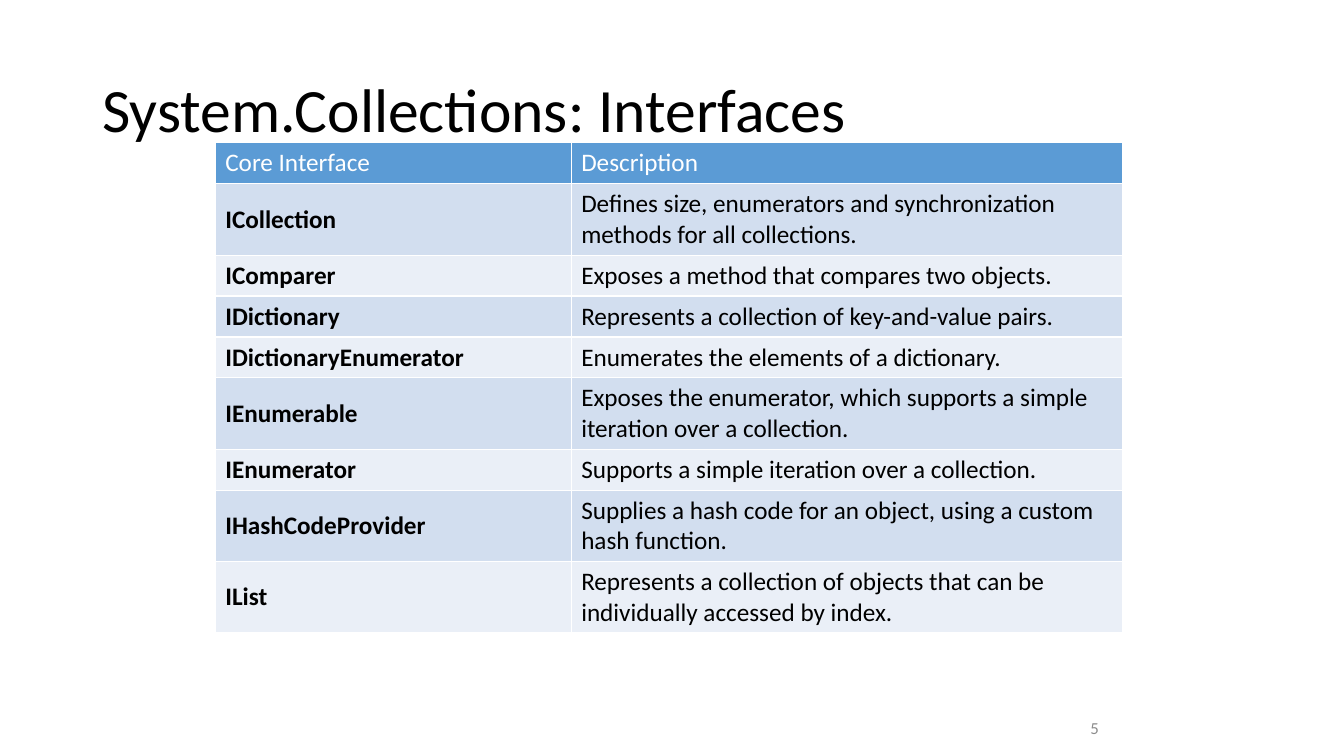
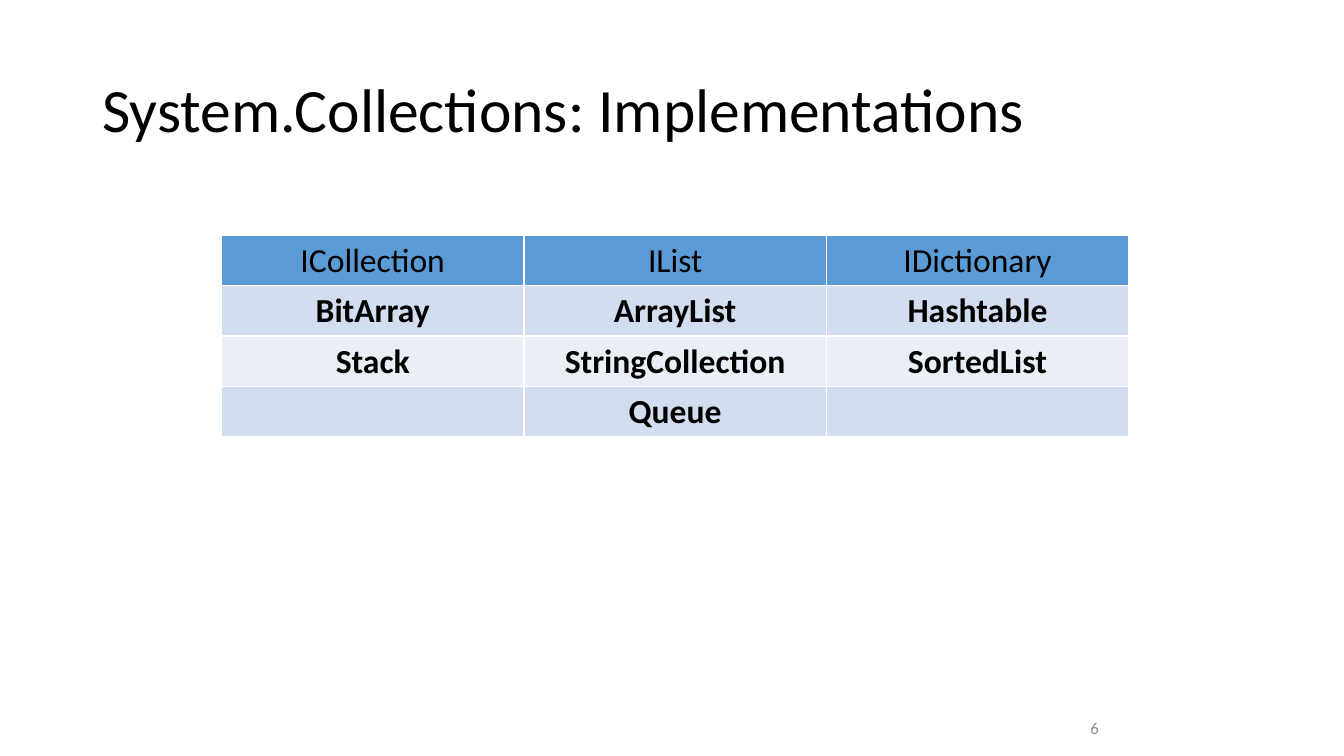
from dataclasses import dataclass

from lxml.etree import SubElement
from pptx import Presentation
from pptx.dml.color import RGBColor
from pptx.enum.text import MSO_ANCHOR, PP_ALIGN
from pptx.oxml.ns import qn
from pptx.presentation import Presentation as Deck
from pptx.slide import Slide
from pptx.table import _Cell as Cell
from pptx.text.text import TextFrame
from pptx.util import Emu, Pt

EMU_PER_PX = 9525  # 96 px to the inch


def px(length: int) -> Emu:
    return Emu(length * EMU_PER_PX)


@dataclass(frozen=True)
class Theme:
    font: str = "Calibri"
    ink: str = "000000"
    paper: str = "FFFFFF"
    header: str = "5B9BD5"
    bands: tuple[str, str] = ("D2DEEF", "EAEFF7")
    muted: str = "8C8C8C"
    title_size: int = 44
    large_size: int = 24
    body_size: int = 18
    number_size: int = 12
    rule_width: int = 1


THEME = Theme()


@dataclass(frozen=True)
class Box:
    left: int
    top: int
    width: int
    height: int


SLIDE_WIDTH, SLIDE_HEIGHT = 1280, 720
TITLE_BOX = Box(88, 38, 1104, 139)
NUMBER_BOX = Box(832, 674, 224, 38)


@dataclass(frozen=True)
class Grid:
    left: int
    top: int
    columns: tuple[int, ...]
    row_heights: tuple[int, ...]
    rows: tuple[tuple[str, ...], ...]
    bold_columns: tuple[int, ...]
    size: int
    header_color: str
    header_anchor: MSO_ANCHOR = MSO_ANCHOR.MIDDLE
    align: PP_ALIGN = PP_ALIGN.LEFT


@dataclass(frozen=True)
class Page:
    title: str
    number: int
    grid: Grid


ONE_LINE, TWO_LINES, LARGE_LINE = 39, 68, 48

INTERFACES = Grid(
    left=205,
    top=136,
    columns=(339, 525),
    row_heights=(ONE_LINE, TWO_LINES, ONE_LINE, ONE_LINE, ONE_LINE,
                 TWO_LINES, ONE_LINE, TWO_LINES, TWO_LINES),
    rows=(
        ("Core Interface", "Description"),
        ("ICollection", "Defines size, enumerators and synchronization methods for all collections."),
        ("IComparer", "Exposes a method that compares two objects."),
        ("IDictionary", "Represents a collection of key-and-value pairs."),
        ("IDictionaryEnumerator", "Enumerates the elements of a dictionary."),
        ("IEnumerable", "Exposes the enumerator, which supports a simple iteration over a collection."),
        ("IEnumerator", "Supports a simple iteration over a collection."),
        ("IHashCodeProvider", "Supplies a hash code for an object, using a custom hash function."),
        ("IList", "Represents a collection of objects that can be individually accessed by index."),
    ),
    bold_columns=(0,),
    size=THEME.body_size,
    header_color=THEME.paper,
    header_anchor=MSO_ANCHOR.TOP,
)

IMPLEMENTATIONS = Grid(
    left=211,
    top=224,
    columns=(288,) * 3,
    row_heights=(LARGE_LINE,) * 4,
    rows=(
        ("ICollection", "IList", "IDictionary"),
        ("BitArray", "ArrayList", "Hashtable"),
        ("Stack", "StringCollection", "SortedList"),
        ("", "Queue", ""),
    ),
    bold_columns=(0, 1, 2),
    size=THEME.large_size,
    header_color=THEME.ink,
    align=PP_ALIGN.CENTER,
)

PAGES = (
    Page("System.Collections: Interfaces", 5, INTERFACES),
    Page("System.Collections: Implementations", 6, IMPLEMENTATIONS),
)


def write_text(frame: TextFrame, text: str, *, size: int, color: str = THEME.ink,
               bold: bool = False, align: PP_ALIGN = PP_ALIGN.LEFT,
               line_spacing: float = 1.0) -> None:
    frame.word_wrap = True
    paragraph = frame.paragraphs[0]
    paragraph.alignment = align
    paragraph.line_spacing = line_spacing
    run = paragraph.add_run()
    run.text = text
    run.font.name = THEME.font
    run.font.size = Pt(size)
    run.font.bold = bold
    run.font.color.rgb = RGBColor.from_string(color)


def add_frame(slide: Slide, box: Box) -> TextFrame:
    frame = slide.shapes.add_textbox(
        px(box.left), px(box.top), px(box.width), px(box.height)).text_frame
    frame.vertical_anchor = MSO_ANCHOR.MIDDLE
    return frame


def rule_cell(cell: Cell) -> None:
    """Draw the four borders; they must precede the cell's fill."""
    properties = cell._tc.get_or_add_tcPr()
    for side in ("lnL", "lnR", "lnT", "lnB"):
        line = SubElement(properties, qn(f"a:{side}"), w=str(Pt(THEME.rule_width)))
        fill = SubElement(line, qn("a:solidFill"))
        SubElement(fill, qn("a:srgbClr"), val=THEME.paper)


def add_grid(slide: Slide, grid: Grid) -> None:
    table = slide.shapes.add_table(
        len(grid.rows), len(grid.columns), px(grid.left), px(grid.top),
        px(sum(grid.columns)), px(sum(grid.row_heights))).table
    table.horz_banding = False
    for column, width in zip(table.columns, grid.columns):
        column.width = px(width)
    for row, height in zip(table.rows, grid.row_heights):
        row.height = px(height)

    for row_index, texts in enumerate(grid.rows):
        is_header = row_index == 0
        band = THEME.header if is_header else THEME.bands[(row_index - 1) % 2]
        for column_index, text in enumerate(texts):
            cell = table.cell(row_index, column_index)
            rule_cell(cell)
            cell.fill.solid()
            cell.fill.fore_color.rgb = RGBColor.from_string(band)
            cell.vertical_anchor = grid.header_anchor if is_header else MSO_ANCHOR.MIDDLE
            if text:
                write_text(cell.text_frame, text, size=grid.size, align=grid.align,
                           color=grid.header_color if is_header else THEME.ink,
                           bold=not is_header and column_index in grid.bold_columns)


def add_page(deck: Deck, page: Page) -> None:
    slide = deck.slides.add_slide(deck.slide_layouts[6])
    # Title
    write_text(add_frame(slide, TITLE_BOX), page.title,
               size=THEME.title_size, line_spacing=0.9)
    # Table
    add_grid(slide, page.grid)
    # Slide number
    write_text(add_frame(slide, NUMBER_BOX), str(page.number),
               size=THEME.number_size, color=THEME.muted, align=PP_ALIGN.RIGHT)


def main() -> None:
    deck = Presentation()
    deck.slide_width, deck.slide_height = px(SLIDE_WIDTH), px(SLIDE_HEIGHT)
    for page in PAGES:
        add_page(deck, page)
    deck.save("out.pptx")


if __name__ == "__main__":
    main()
